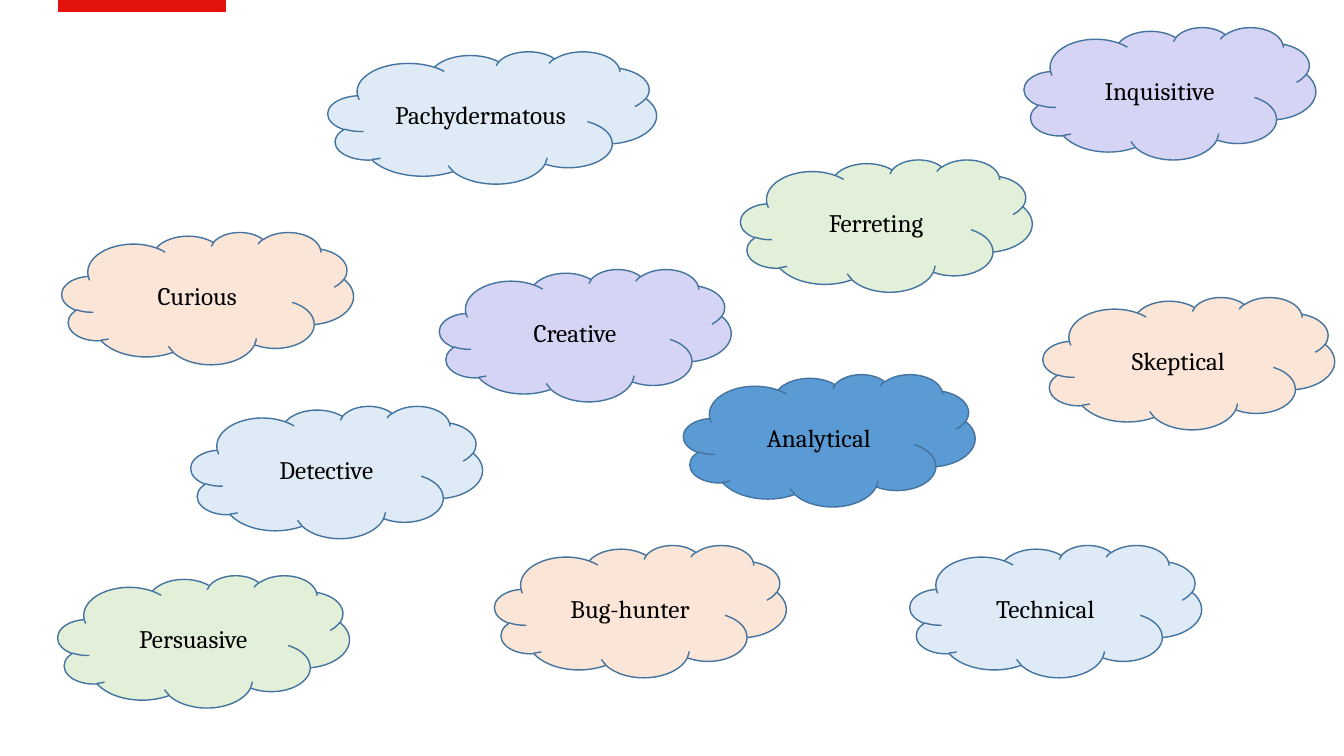
"""Slide of scattered clouds, each naming a quality of a good tester."""
from lxml.etree import SubElement
from pptx import Presentation
from pptx.dml.color import RGBColor
from pptx.enum.shapes import MSO_CONNECTOR as Connector, MSO_SHAPE as Shape
from pptx.enum.text import MSO_ANCHOR as Anchor, PP_ALIGN as Align
from pptx.oxml.ns import qn
from pptx.util import Inches, Pt

RED = RGBColor(0xE3, 0x12, 0x0B)
OUTLINE = RGBColor(0x43, 0x73, 0x9E)
BLACK = RGBColor(0x00, 0x00, 0x00)
PEACH = RGBColor(0xFB, 0xE5, 0xD6)
PALE_BLUE = RGBColor(0xDE, 0xEB, 0xF7)
LAVENDER = RGBColor(0xD6, 0xD4, 0xF4)
PALE_GREEN = RGBColor(0xE2, 0xF0, 0xD9)
BLUE = RGBColor(0x5B, 0x9B, 0xD5)

CLOUD_WIDTH, CLOUD_HEIGHT = 21.7, 17.5
WIDE_CLOUD = 24.45

QUALITIES = [
    ("Curious", 4.6, 30.7, PEACH, CLOUD_WIDTH),
    ("Pachydermatous", 24.4, 6.8, PALE_BLUE, WIDE_CLOUD),
    ("Creative", 32.7, 35.6, LAVENDER, CLOUD_WIDTH),
    ("Ferreting", 55.1, 21.1, PALE_GREEN, CLOUD_WIDTH),
    ("Inquisitive", 76.2, 3.6, LAVENDER, CLOUD_WIDTH),
    ("Skeptical", 77.6, 39.3, PEACH, CLOUD_WIDTH),
    ("Analytical", 50.85, 49.5, BLUE, CLOUD_WIDTH),
    ("Technical", 67.7, 72.1, PALE_BLUE, CLOUD_WIDTH),
    ("Detective", 14.2, 53.7, PALE_BLUE, CLOUD_WIDTH),
    ("Bug-hunter", 36.8, 72.1, PEACH, CLOUD_WIDTH),
    ("Persuasive", 4.3, 76.1, PALE_GREEN, CLOUD_WIDTH),
]


class QualitiesSlide:
    """Holds the style and the slide; lengths are percentages of its size."""

    font_name = "Cambria"
    font_size = Pt(18)

    def __init__(self, deck):
        self.deck = deck
        self.slide = deck.slides.add_slide(deck.slide_layouts[6])

    def across(self, share):
        return round(self.deck.slide_width * share / 100)

    def down(self, share):
        return round(self.deck.slide_height * share / 100)

    def accent_bar(self, left, right, middle, thickness):
        bar = self.slide.shapes.add_connector(
            Connector.STRAIGHT, self.across(left), self.down(middle),
            self.across(right), self.down(middle))
        bar.line.color.rgb = RED
        bar.line.width = Pt(thickness)
        SubElement(bar._element.spPr, qn("a:effectLst"))

    def cloud(self, quality, left, top, colour, width):
        cloud = self.slide.shapes.add_shape(
            Shape.CLOUD, self.across(left), self.down(top),
            self.across(width), self.down(CLOUD_HEIGHT))
        cloud.shadow.inherit = False
        cloud.fill.solid()
        cloud.fill.fore_color.rgb = colour
        cloud.line.color.rgb = OUTLINE
        cloud.line.width = Pt(1)
        cloud.text_frame.vertical_anchor = Anchor.MIDDLE
        label = cloud.text_frame.paragraphs[0]
        label.alignment = Align.CENTER
        word = label.add_run()
        word.text = quality
        word.font.name = self.font_name
        word.font.size = self.font_size
        word.font.color.rgb = BLACK


def main():
    deck = Presentation()
    deck.slide_width, deck.slide_height = Inches(13.33), Inches(7.5)
    page = QualitiesSlide(deck)
    page.accent_bar(4.3, 16.8, 0.8, 9)
    for quality in QUALITIES:
        page.cloud(*quality)
    deck.save("out.pptx")


if __name__ == "__main__":
    main()
